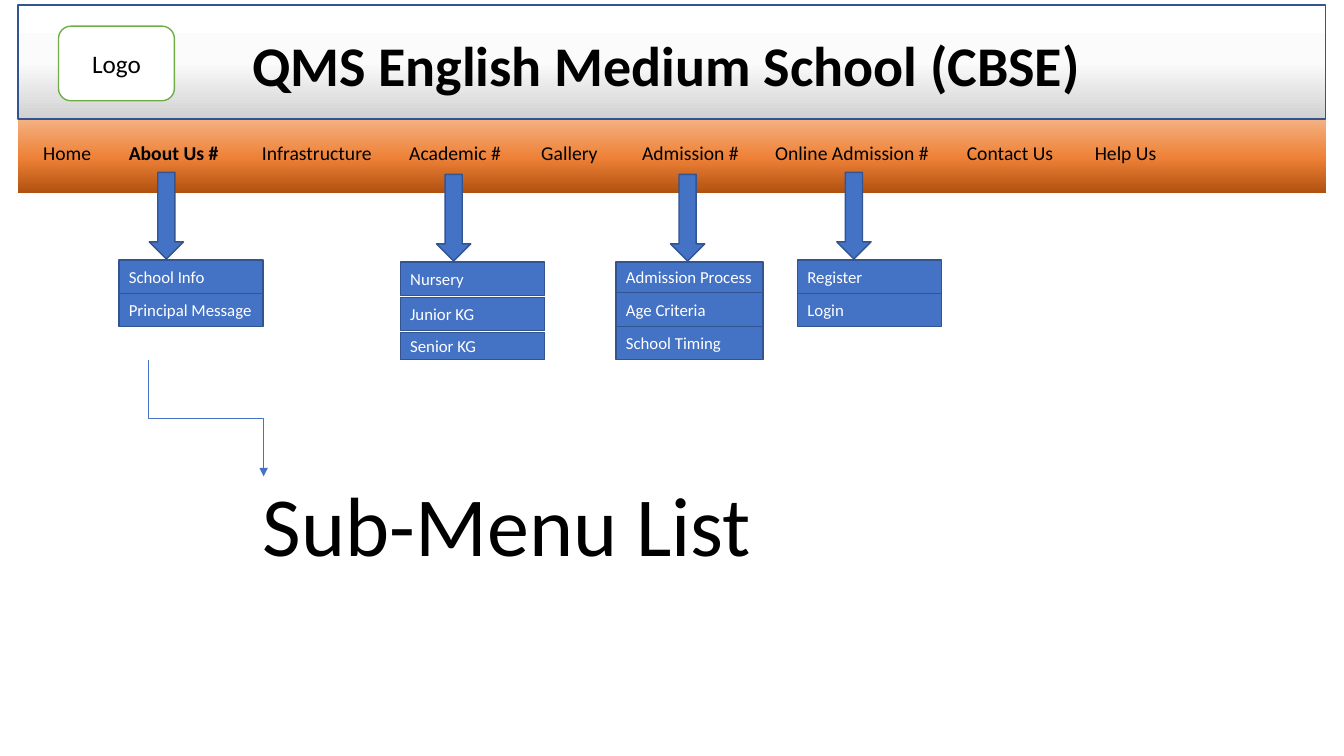
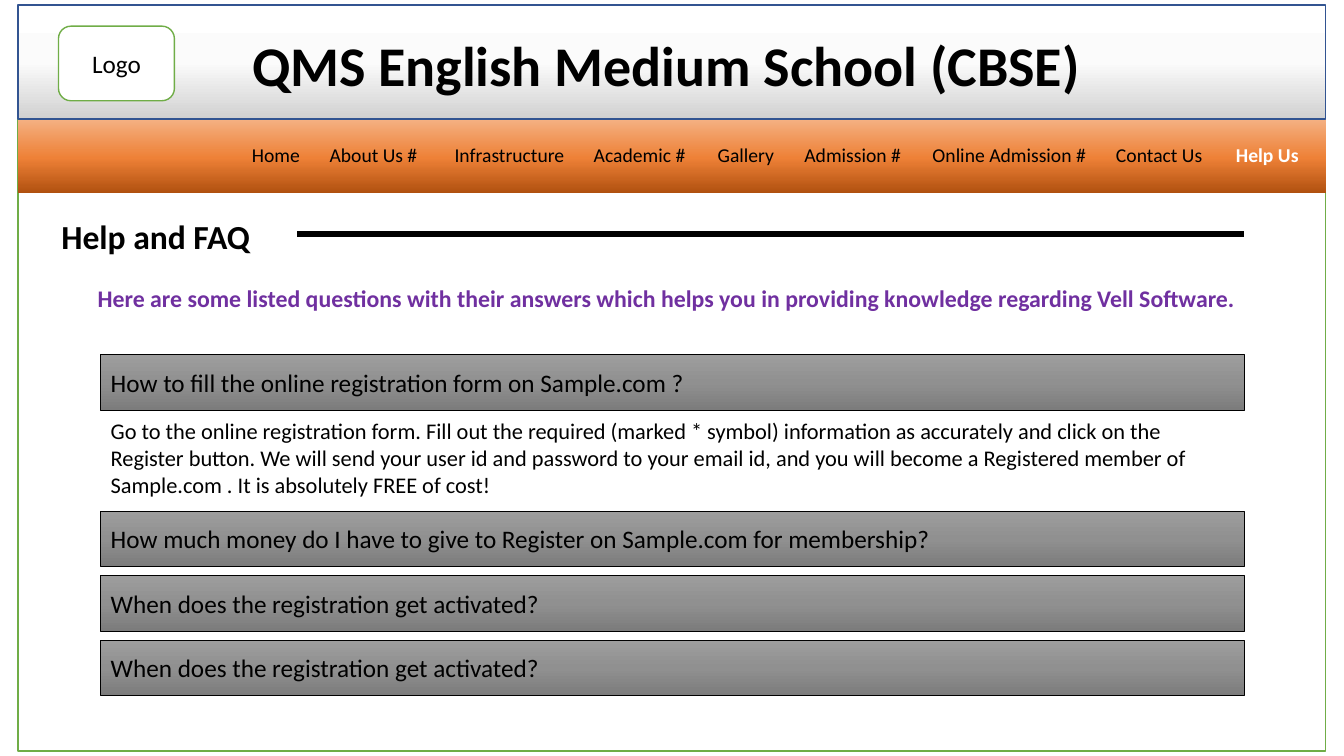
from copy import deepcopy

from pptx import Presentation
from pptx.dml.color import RGBColor
from pptx.enum.shapes import MSO_CONNECTOR, MSO_SHAPE
from pptx.enum.text import MSO_ANCHOR, MSO_AUTO_SIZE, PP_ALIGN
from pptx.oxml.ns import qn
from pptx.util import Inches, Pt
from lxml import etree

RECT, ROUND_RECT, DOWN_ARROW = MSO_SHAPE.RECTANGLE, MSO_SHAPE.ROUNDED_RECTANGLE, MSO_SHAPE.DOWN_ARROW
STRAIGHT, ELBOW = MSO_CONNECTOR.STRAIGHT, MSO_CONNECTOR.ELBOW
TOP, MIDDLE = MSO_ANCHOR.TOP, MSO_ANCHOR.MIDDLE
LEFT, CENTER = PP_ALIGN.LEFT, PP_ALIGN.CENTER
NO_FIT, GROW = MSO_AUTO_SIZE.NONE, MSO_AUTO_SIZE.SHAPE_TO_FIT_TEXT

BLACK = RGBColor(0x00, 0x00, 0x00)
WHITE = RGBColor(0xFF, 0xFF, 0xFF)
BLUE = RGBColor(0x44, 0x72, 0xC4)
DARK_BLUE = RGBColor(0x32, 0x54, 0x91)
GREEN = RGBColor(0x70, 0xAD, 0x47)
PURPLE = RGBColor(0x70, 0x30, 0xA0)
HEADER_FADE = ((0, WHITE), (0.5, RGBColor(0xFB, 0xFB, 0xFB)), (1, RGBColor(0xD1, 0xD1, 0xD1)))
MENU_FADE = ((0, RGBColor(0xF4, 0xB1, 0x83)), (0.52, RGBColor(0xEE, 0x81, 0x37)),
             (1, RGBColor(0xB0, 0x50, 0x0F)))
GRAY_FADE = ((0, RGBColor(0x9D, 0x9D, 0x9D)), (0.5, RGBColor(0x90, 0x90, 0x90)),
             (1, RGBColor(0x7C, 0x7C, 0x7C)))

FONT = "Calibri"
SCHOOL = "QMS English Medium School (CBSE)"
MENU = (("Home", 0.69), ("About Us #", 1.16), ("Infrastructure", 1.3), ("Academic #", 1.15),
        ("Gallery", 0.84), ("Admission #", 1.16), ("Online Admission #", 1.74),
        ("Contact Us", 1.11), ("Help Us", 0.84))
SUBMENUS = (
    (1.48, 1.18, 2.58, 1.43, 0, (("School Info", 0.33), ("Principal Message", 0.33))),
    (4.33, 3.97, 2.6, 1.43, 0.02, (("Nursery", 0.33), ("Junior KG", 0.33), ("Senior KG", 0.27))),
    (6.65, 6.11, 2.6, 1.46, 0,
     (("Admission Process", 0.3), ("Age Criteria", 0.34), ("School Timing", 0.33))),
    (8.3, 7.91, 2.58, 1.43, 0, (("Register", 0.33), ("Login", 0.33))),
)
INTRO = ("Here are some listed questions with their answers which helps you in providing "
         "knowledge regarding Vell Software.")
FIRST_QUESTION = "How to fill the online registration form on Sample.com ?"
FIRST_ANSWER = (
    "Go to the online registration form. Fill out the required (marked * symbol) information as "
    "accurately and click on the Register button. We will send your user id and password to your "
    "email id, and you will become a Registered member of Sample.com . It is absolutely FREE of cost!")
MORE_QUESTIONS = ("How much money do I have to give to Register on Sample.com for membership?",
                  "When does the registration get activated?",
                  "When does the registration get activated?")


def write(tf, text, size=14, color=BLACK, bold=False, align=LEFT, anchor=TOP, fit=NO_FIT):
    tf.word_wrap = True
    tf.auto_size = fit
    tf.vertical_anchor = anchor
    p = tf.paragraphs[0]
    p.alignment = align
    r = p.add_run()
    r.text = text
    r.font.name = FONT
    r.font.size = Pt(size)
    r.font.bold = bold
    r.font.color.rgb = color


class SchoolDeck:
    def __init__(self):
        self.prs = Presentation()
        self.prs.slide_width = Inches(13.33)
        self.prs.slide_height = Inches(7.5)
        self.s = None

    def new_slide(self):
        self.s = self.prs.slides.add_slide(self.prs.slide_layouts[5])

    def shape(self, x, y, w, h, fill, line=None, width=1, kind=RECT):
        sp = self.s.shapes.add_shape(kind, Inches(x), Inches(y), Inches(w), Inches(h))
        sp.shadow.inherit = False
        if isinstance(fill, RGBColor):
            sp.fill.solid()
            sp.fill.fore_color.rgb = fill
        else:
            self.fade(sp, fill)
        if line is None:
            sp.line.fill.background()
        else:
            sp.line.color.rgb = line
            sp.line.width = Pt(width)
        return sp

    def fade(self, sp, stops):
        sp.fill.gradient()
        sp.fill.gradient_angle = 270
        gs_list = sp.element.spPr.find(qn("a:gradFill")).find(qn("a:gsLst"))
        gs_list.append(deepcopy(gs_list[0]))
        for stop, (position, color) in zip(sp.fill.gradient_stops, stops):
            stop.position = position
            stop.color.rgb = color

    def text(self, x, y, w, h, text, **style):
        sp = self.s.shapes.add_textbox(Inches(x), Inches(y), Inches(w), Inches(h))
        write(sp.text_frame, text, fit=GROW, **style)

    def line(self, kind, x1, y1, x2, y2, color, width):
        c = self.s.shapes.add_connector(kind, Inches(x1), Inches(y1), Inches(x2), Inches(y2))
        c.line.color.rgb = color
        c.line.width = Pt(width)
        etree.SubElement(c.element.spPr, qn("a:effectLst"))
        return c

    def down_elbow(self, x1, y1, x2, y2, color, width):
        c = self.line(ELBOW, x1, y1, x2, y2, color, width)
        sp_pr = c.element.spPr
        sp_pr.find(qn("a:xfrm")).set("rot", "16200000")
        etree.SubElement(sp_pr.find(qn("a:ln")), qn("a:tailEnd"), type="triangle")

    def menu(self, x, y, gap, active, active_color, nudges):
        self.shape(0.18, 1.18, 12.97, 0.74, MENU_FADE)
        for label, w in MENU:
            x += nudges.get(label, 0)
            current = label == active
            self.text(x, y, w, 0.34, label, bold=current,
                      color=active_color if current else BLACK)
            x += w + gap

    def header(self):
        self.shape(0.18, 0.05, 12.97, 1.13, HEADER_FADE, DARK_BLUE)
        logo = self.shape(0.58, 0.26, 1.15, 0.74, WHITE, GREEN, kind=ROUND_RECT)
        write(logo.text_frame, "Logo", size=18, align=CENTER, anchor=MIDDLE)
        title = self.s.shapes.title
        title.left, title.top = Inches(2.4), Inches(0.25)
        title.width, title.height = Inches(8.81), Inches(0.77)
        write(title.text_frame, SCHOOL, size=40, bold=True)
        title.element.getparent().append(title.element)

    def submenu(self, arrow_x, x, y, w, gap, rows):
        self.shape(arrow_x, y - 0.87, 0.34, 0.86, BLUE, DARK_BLUE, kind=DOWN_ARROW)
        for label, h in rows:
            sp = self.shape(x, y, w, h, BLUE, DARK_BLUE)
            write(sp.text_frame, label, size=12, color=WHITE, anchor=MIDDLE)
            y += h + gap

    def question(self, y, text):
        sp = self.shape(1, y, 11.34, 0.55, GRAY_FADE, BLACK, 0.5)
        write(sp.text_frame, text, size=18, anchor=MIDDLE)


def submenu_slide(deck):
    deck.new_slide()
    deck.menu(0.33, 1.35, 0.16, "About Us #", BLACK, {})
    deck.header()
    for submenu in SUBMENUS:
        deck.submenu(*submenu)
    deck.down_elbow(2.62, 3.58, 1.47, 4.72, BLUE, 0.5)
    deck.text(2.51, 4.64, 6.99, 1.11, "Sub-Menu List", size=60)


def help_slide(deck):
    deck.new_slide()
    deck.shape(0.18, 0.08, 12.97, 7.37, WHITE, GREEN)
    deck.menu(2.4, 1.37, 0.08, "Help Us", WHITE,
              {"Admission #": -0.06, "Online Admission #": 0.03})
    deck.header()
    deck.text(0.51, 2.09, 2.15, 0.5, "Help and FAQ", size=24, bold=True)
    deck.line(STRAIGHT, 2.95, 2.32, 12.34, 2.32, BLACK, 4.5)
    deck.text(0.87, 2.77, 11.83, 0.39, INTRO, size=17, color=PURPLE, bold=True)
    deck.question(3.52, FIRST_QUESTION)
    deck.text(1, 4.09, 11.17, 0.91, FIRST_ANSWER, size=16)
    for i, question in enumerate(MORE_QUESTIONS):
        deck.question(5.07 + 0.64 * i, question)


def main():
    deck = SchoolDeck()
    submenu_slide(deck)
    help_slide(deck)
    deck.prs.save("out.pptx")


if __name__ == "__main__":
    main()
